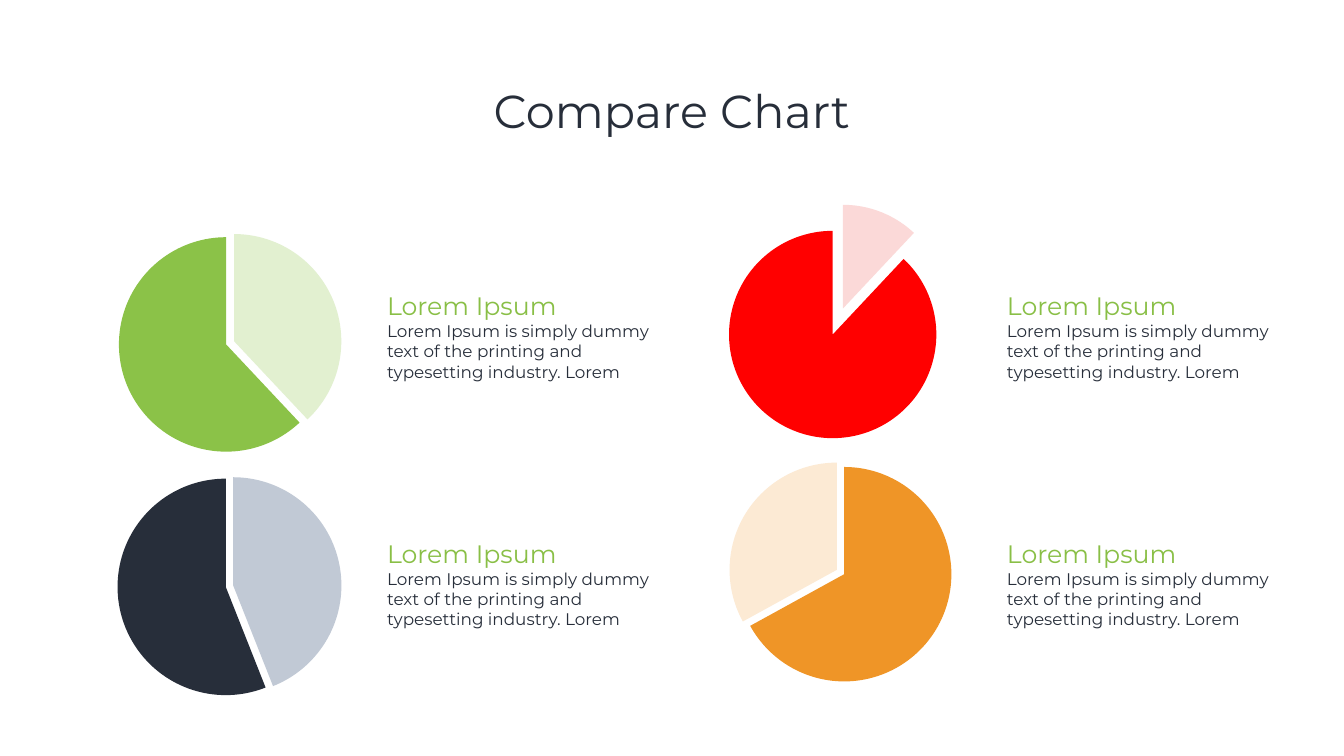
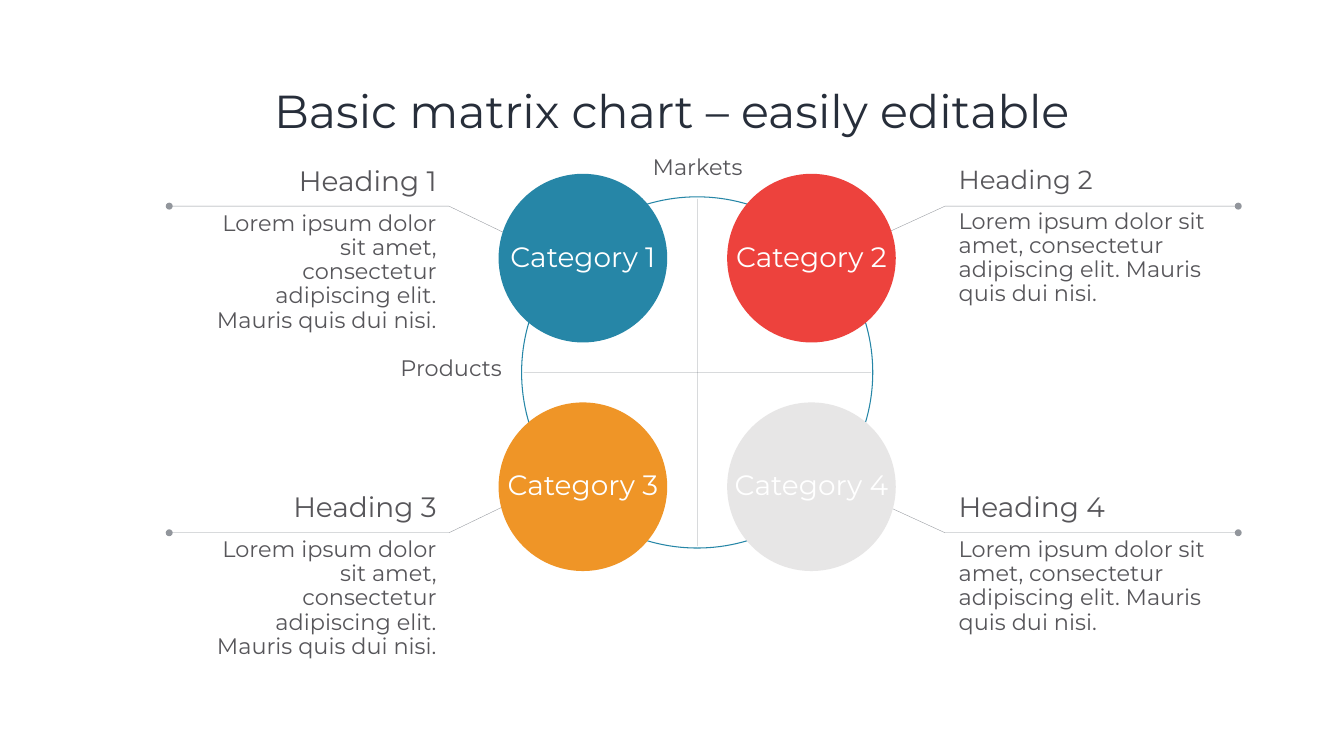
from dataclasses import dataclass
from itertools import product

from lxml.etree import SubElement
from pptx import Presentation
from pptx.chart.data import CategoryChartData
from pptx.dml.color import RGBColor
from pptx.enum.chart import XL_CHART_TYPE
from pptx.enum.shapes import MSO_CONNECTOR, MSO_SHAPE
from pptx.enum.text import MSO_ANCHOR, PP_ALIGN
from pptx.oxml import parse_xml
from pptx.oxml.ns import nsdecls, qn
from pptx.util import Cm, Pt


@dataclass(frozen=True)
class Theme:
    font: str = "Montserrat"
    dark: str = "272E3A"
    gray: str = "57565A"
    green: str = "89BF46"
    blue: str = "2686A7"
    red: str = "ED423D"
    orange: str = "EF9527"
    light_gray: str = "E7E6E6"
    white: str = "FFFFFF"
    title_size: float = 66
    category_size: float = 40
    heading_size: float = 40
    label_size: float = 32
    pie_heading_size: float = 36
    pie_text_size: float = 24
    chart_size: float = 18
    tight: float = 0.9


THEME = Theme()
TITLE_ONLY = 5

PIE_TEXT = "Lorem Ipsum is simply dummy text of the printing and typesetting industry. Lorem"
MATRIX_TEXT = "Lorem ipsum dolor sit amet, consectetur adipiscing elit. Mauris quis dui nisi."

# box in cm, values, slice colours, exploded slice, explosion in percent
PIES = [
    ((3.78, 11.15, 15.24, 12.42), (38, 62), ("E2F0D0", "8BC248"), 0, 8),
    ((3.76, 23.37, 15.24, 12.42), (44, 56), ("C1C9D5", THEME.dark), 0, 7),
    ((33.22, 9.8, 17.5, 14.12), (12, 88), ("FBD9D8", "FF0000"), 0, 27),
    ((34.93, 22.73, 15.24, 12.42), (67, 33), (THEME.orange, "FCEAD4"), 1, 8),
]
PIE_SHARE = 0.94

MATRIX_X, MATRIX_Y = 35.14, 18.77
RING_DIAMETER = 17.7
CIRCLE_DIAMETER = 8.5
CIRCLE_OFFSET = 5.76
CROSS_REACH = 8.75
CATEGORY_COLORS = (THEME.blue, THEME.red, THEME.orange, THEME.light_gray)

# text left, text width, alignment, x of the callout's inner end, elbow and dot
CALLOUT_SIDES = [
    (10.08, 12.62, PP_ALIGN.RIGHT, (26.16, 22.63, 8.53)),
    (47.63, 14, PP_ALIGN.LEFT, (43.92, 47.63, 62.41)),
]
# text top, y of the callout's inner end and of its level part
CALLOUT_ROWS = [(8.28, 12.09, 10.39), (24.71, 25.15, 26.85)]
HEADING_SIZES = (THEME.heading_size, 37.3, THEME.heading_size, THEME.heading_size)


def cm_box(*lengths):
    return [Cm(length) for length in lengths]


def set_font(font, size, color):
    font.name = THEME.font
    font.size = Pt(size)
    font.color.rgb = RGBColor.from_string(color)


def add_titled_slide(presentation, text):
    slide = presentation.slides.add_slide(presentation.slide_layouts[TITLE_ONLY])
    title = slide.shapes.title
    title.left, title.top, title.width, title.height = cm_box(4.65, 2.03, 58.42, 7.37)
    title.text_frame.text = text
    title.text_frame.vertical_anchor = MSO_ANCHOR.MIDDLE
    paragraph = title.text_frame.paragraphs[0]
    paragraph.alignment = PP_ALIGN.CENTER
    paragraph.line_spacing = THEME.tight
    set_font(paragraph.font, THEME.title_size, THEME.dark)
    return slide


def add_text_frame(slide, box, side_inset, edge_inset, wrap=True):
    frame = slide.shapes.add_textbox(*cm_box(*box)).text_frame
    frame.word_wrap = wrap
    frame.margin_left = frame.margin_right = Cm(side_inset)
    frame.margin_top = frame.margin_bottom = Cm(edge_inset)
    return frame


def add_pie(slide, box, values, colors, exploded, explosion):
    data = CategoryChartData()
    data.categories = ["1", "2"]
    data.add_series("Series 1", values)
    chart = slide.shapes.add_chart(XL_CHART_TYPE.PIE, *cm_box(*box), data).chart
    chart.has_legend = False
    chart.has_title = False
    set_font(chart.font, THEME.chart_size, THEME.dark)
    plot = chart.plots[0]
    plot.vary_by_categories = False
    series = plot.series[0]
    for index, color in enumerate(colors):
        slice_format = series.points[index].format
        slice_format.fill.solid()
        slice_format.fill.fore_color.rgb = RGBColor.from_string(color)
        slice_format.line.fill.background()
    explode_slice(series, exploded, explosion)
    _, _, width, height = box
    diameter = PIE_SHARE * height / (1 + explosion / 100)
    center_plot(chart, diameter / width, diameter / height)


def explode_slice(series, index, explosion):
    data_point = series._element.findall(qn("c:dPt"))[index]
    data_point.find(qn("c:spPr")).addprevious(
        parse_xml(f'<c:explosion {nsdecls("c")} val="{explosion}"/>'))


def center_plot(chart, width_share, height_share):
    """Centre the plot, sized as shares of the chart's width and height."""
    plot_area = chart._chartSpace.find(qn("c:chart")).find(qn("c:plotArea"))
    for layout in plot_area.findall(qn("c:layout")):
        plot_area.remove(layout)
    layout = SubElement(plot_area, qn("c:layout"))
    plot_area.insert(0, layout)
    manual = SubElement(layout, qn("c:manualLayout"))
    settings = [("layoutTarget", "inner"), ("xMode", "edge"), ("yMode", "edge"),
                ("x", (1 - width_share) / 2), ("y", (1 - height_share) / 2),
                ("w", width_share), ("h", height_share)]
    for name, value in settings:
        text = value if isinstance(value, str) else f"{value:.4f}"
        SubElement(manual, qn(f"c:{name}")).set("val", text)


def add_pie_caption(slide, left, top):
    frame = add_text_frame(slide, (left, top, 14.71, 5.92), 0.51, 0.25)
    paragraph = frame.paragraphs[0]
    heading = paragraph.add_run()
    heading.text = "Lorem Ipsum"
    set_font(heading.font, THEME.pie_heading_size, THEME.green)
    paragraph.add_line_break()
    body = paragraph.add_run()
    body.text = PIE_TEXT
    set_font(body.font, THEME.pie_text_size, THEME.dark)


def style_thin_line(shape, width):
    """Draw the shape's line in half-transparent dark."""
    shape.line.width = Pt(width)
    shape.line.color.rgb = RGBColor.from_string(THEME.dark)
    color = next(shape.line._ln.iter(qn("a:srgbClr")))
    SubElement(color, qn("a:alpha")).set("val", "50000")


def add_callout_line(slide, points):
    start, *others = [cm_box(*point) for point in points]
    builder = slide.shapes.build_freeform(*start, scale=1.0)
    builder.add_line_segments(others, close=False)
    shape = builder.convert_to_shape()
    shape.shadow.inherit = False
    shape.fill.background()
    style_thin_line(shape, 0.5)
    dot = SubElement(shape.line._ln, qn("a:tailEnd"))
    for name, value in (("type", "oval"), ("w", "lg"), ("len", "lg")):
        dot.set(name, value)


def add_cross_line(slide, reach_x, reach_y):
    connector = slide.shapes.add_connector(
        MSO_CONNECTOR.STRAIGHT,
        *cm_box(MATRIX_X - reach_x, MATRIX_Y - reach_y, MATRIX_X + reach_x, MATRIX_Y + reach_y))
    style_thin_line(connector, 0.25)
    SubElement(connector._element.spPr, qn("a:effectLst"))


def add_circle(slide, center_x, center_y, diameter):
    radius = diameter / 2
    circle = slide.shapes.add_shape(
        MSO_SHAPE.OVAL, *cm_box(center_x - radius, center_y - radius, diameter, diameter))
    circle.shadow.inherit = False
    return circle


def add_ring(slide):
    ring = add_circle(slide, MATRIX_X, MATRIX_Y, RING_DIAMETER)
    ring.fill.background()
    ring.line.width = Pt(1.5)
    ring.line.color.rgb = RGBColor.from_string(THEME.blue)


def add_category(slide, text, color, center_x, center_y):
    circle = add_circle(slide, center_x, center_y, CIRCLE_DIAMETER)
    circle.fill.solid()
    circle.fill.fore_color.rgb = RGBColor.from_string(color)
    circle.line.fill.background()
    frame = circle.text_frame
    frame.word_wrap = False
    frame.vertical_anchor = MSO_ANCHOR.MIDDLE
    frame.text = text
    paragraph = frame.paragraphs[0]
    paragraph.alignment = PP_ALIGN.CENTER
    paragraph.line_spacing = THEME.tight
    set_font(paragraph.font, THEME.category_size, THEME.white)


def add_callout_text(slide, box, heading, heading_size, alignment):
    frame = add_text_frame(slide, box, 0.69, 0.13)
    frame.text = f"{heading}\n{MATRIX_TEXT}"
    for paragraph, size in zip(frame.paragraphs, (heading_size, THEME.label_size)):
        paragraph.alignment = alignment
        paragraph.line_spacing = THEME.tight
        set_font(paragraph.font, size, THEME.gray)
    frame.paragraphs[1].space_before = Pt(21.3)


def add_axis_label(slide, text, box, alignment):
    frame = add_text_frame(slide, box, 0, 0.13, wrap=False)
    frame.text = text
    paragraph = frame.paragraphs[0]
    paragraph.alignment = alignment
    set_font(paragraph.font, THEME.label_size, THEME.gray)


def build_compare_slide(presentation):
    slide = add_titled_slide(presentation, "Compare Chart")
    for pie in PIES:
        add_pie(slide, *pie)
    for left, top in product((19, 50.24), (14.4, 26.87)):
        add_pie_caption(slide, left, top)


def build_matrix_slide(presentation):
    slide = add_titled_slide(presentation, "Basic matrix chart – easily editable")
    quadrants = list(product(CALLOUT_ROWS, CALLOUT_SIDES))
    for (_, inner_y, level_y), (*_, (inner_x, elbow_x, dot_x)) in quadrants:
        add_callout_line(slide, [(inner_x, inner_y), (elbow_x, level_y), (dot_x, level_y)])
    add_ring(slide)
    directions = product((-1, 1), repeat=2)
    for number, (color, (down, right)) in enumerate(zip(CATEGORY_COLORS, directions), 1):
        add_category(slide, f"Category {number}", color,
                     MATRIX_X + right * CIRCLE_OFFSET, MATRIX_Y + down * CIRCLE_OFFSET)
    for number, (row, side) in enumerate(quadrants, 1):
        left, width, alignment, _ = side
        add_callout_text(slide, (left, row[0], width, 8.69), f"Heading {number}",
                         HEADING_SIZES[number - 1], alignment)
    add_cross_line(slide, 0, CROSS_REACH)
    add_cross_line(slide, CROSS_REACH, 0)
    add_axis_label(slide, "Products", (20.17, 17.7, 5.13, 1.63), PP_ALIGN.RIGHT)
    add_axis_label(slide, "Markets", (32.89, 7.59, 4.55, 1.63), PP_ALIGN.CENTER)


def main():
    presentation = Presentation()
    presentation.slide_width, presentation.slide_height = cm_box(67.74, 38.1)
    build_compare_slide(presentation)
    build_matrix_slide(presentation)
    presentation.save("out.pptx")


if __name__ == "__main__":
    main()
